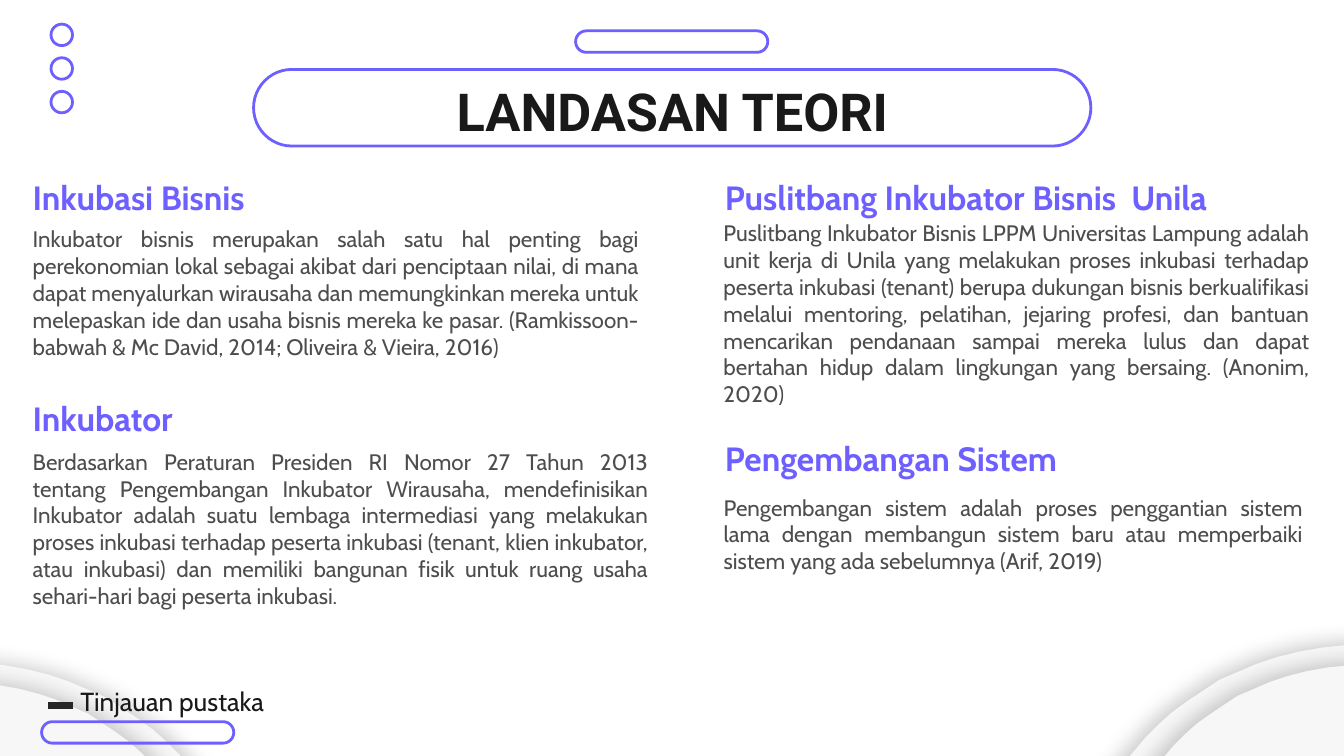
from dataclasses import dataclass
from typing import Any

import lxml.etree
import pptx
import pptx.dml.color
import pptx.enum.shapes
import pptx.enum.text
import pptx.oxml
import pptx.oxml.ns
import pptx.util

SHAPE = pptx.enum.shapes.MSO_SHAPE
ALIGN = pptx.enum.text.PP_ALIGN
ANCHOR = pptx.enum.text.MSO_ANCHOR
COLUMNS = 100
ROWS = 56.25
CELL = pptx.util.Inches(10) // COLUMNS


@dataclass(frozen=True)
class Theme:
    accent: str = "6E5FFF"
    ink: str = "191919"
    body: str = "4D4D4D"
    dash: str = "262626"
    hill: str = "F7F7F7"
    display_font: str = "Roboto"
    text_font: str = "Cabin"
    title_size: float = 28
    heading_size: float = 18
    label_size: float = 14
    body_size: float = 12
    outline: float = 1.5
    dash_width: float = 4


@dataclass(frozen=True)
class Frame:
    column: float
    row: float
    columns: float
    rows: float

    def lengths(self) -> tuple[int, ...]:
        return tuple(grid(n) for n in (self.column, self.row, self.columns, self.rows))


@dataclass(frozen=True)
class Style:
    size: float
    color: str
    font: str
    bold: bool = False
    align: Any = ALIGN.LEFT
    anchor: Any = ANCHOR.MIDDLE


@dataclass(frozen=True)
class Section:
    heading: str
    heading_frame: Frame
    body: str
    body_frame: Frame


@dataclass(frozen=True)
class Hill:
    column: float
    row: float
    direction: int
    shadow_angle: int


THEME = Theme()
TITLE = Style(THEME.title_size, THEME.ink, THEME.display_font, True, ALIGN.CENTER, ANCHOR.TOP)
HEADING = Style(THEME.heading_size, THEME.accent, THEME.text_font, True)
BODY = Style(THEME.body_size, THEME.body, THEME.text_font, align=ALIGN.JUSTIFY)
LABEL = Style(THEME.label_size, THEME.ink, THEME.text_font, anchor=ANCHOR.TOP)

LEFT, RIGHT, FIRST_ROW = 1.45, 52.85, 12.63
SECTIONS = (
    Section(
        "Inkubasi Bisnis", Frame(LEFT, FIRST_ROW, 28.7, 4),
        "Inkubator bisnis merupakan salah satu hal penting bagi perekonomian lokal sebagai "
        "akibat dari penciptaan nilai, di mana dapat menyalurkan wirausaha dan memungkinkan "
        "mereka untuk melepaskan ide dan usaha bisnis mereka ke pasar. (Ramkissoon-babwah & "
        "Mc David, 2014; Oliveira & Vieira, 2016)",
        Frame(LEFT, 15.03, 47.1, 13.5),
    ),
    Section(
        "Inkubator", Frame(LEFT, 29.1, 28.7, 4),
        "Berdasarkan Peraturan Presiden RI Nomor 27 Tahun 2013 tentang Pengembangan Inkubator "
        "Wirausaha, mendefinisikan Inkubator adalah suatu lembaga intermediasi yang melakukan "
        "proses inkubasi terhadap peserta inkubasi (tenant, klien inkubator, atau inkubasi) "
        "dan memiliki bangunan fisik untuk ruang usaha sehari-hari bagi peserta inkubasi.",
        Frame(LEFT, 32.57, 47.8, 13.5),
    ),
    Section(
        "Puslitbang Inkubator Bisnis  Unila", Frame(RIGHT + 0.1, FIRST_ROW, 39.2, 4),
        "Puslitbang Inkubator Bisnis LPPM Universitas Lampung adalah unit kerja di Unila yang "
        "melakukan proses inkubasi terhadap peserta inkubasi (tenant) berupa dukungan bisnis "
        "berkualifikasi melalui mentoring, pelatihan, jejaring profesi, dan bantuan mencarikan "
        "pendanaan sampai mereka lulus dan dapat bertahan hidup dalam lingkungan yang bersaing. "
        "(Anonim, 2020)",
        Frame(RIGHT, 16.55, 45.6, 13.5),
    ),
    Section(
        "Pengembangan Sistem", Frame(RIGHT + 0.1, 32.1, 39.2, 4),
        "Pengembangan sistem adalah proses penggantian sistem lama dengan membangun sistem baru "
        "atau memperbaiki sistem yang ada sebelumnya (Arif, 2019)",
        Frame(RIGHT, 35.83, 45.1, 7.8),
    ),
)

HILLS = (Hill(79.6, 48, 1, 212), Hill(19, 49.3, -1, 348))
HILL_OUTLINE = (
    (36.2, 17), (0, 15.8), (0.1, 15.5), (0.4, 14.8), (0.9, 13.6), (1.7, 12.2), (2.7, 10.5),
    (4.1, 8.7), (5.7, 6.8), (6.6, 5.9), (7.6, 5), (8.7, 4.2), (9.9, 3.4), (11.1, 2.6),
    (12.5, 2), (13.9, 1.4), (15.4, 0.9), (17, 0.5), (18.7, 0.2), (20.6, 0), (22.5, 0),
    (24.5, 0.1), (26.6, 0.4), (28.8, 0.9), (31.2, 1.5), (33.6, 2.3), (36.2, 3.3),
)
HILL_LAYERS = ((0, 0, 1), (2.7, 1.5, 0.88))


def grid(cells: float) -> int:
    return round(cells * CELL)


def rgb(color: str) -> pptx.dml.color.RGBColor:
    return pptx.dml.color.RGBColor.from_string(color)


def draw_outline(page: Any, kind: Any, frame: Frame) -> None:
    shape = page.shapes.add_shape(kind, *frame.lengths())
    shape.shadow.inherit = False
    shape.fill.background()
    shape.line.color.rgb = rgb(THEME.accent)
    shape.line.width = pptx.util.Pt(THEME.outline)
    if kind == SHAPE.ROUNDED_RECTANGLE:
        shape.adjustments[0] = 0.5


def draw_hill(page: Any, hill: Hill) -> None:
    for inset, drop, scale in HILL_LAYERS:
        points = [
            (grid(hill.column + hill.direction * (inset + across * scale)),
             grid(hill.row + drop + down * scale))
            for across, down in HILL_OUTLINE
        ]
        builder = page.shapes.build_freeform(*points[0])
        builder.add_line_segments(points[1:], close=True)
        shape = builder.convert_to_shape()
        shape.shadow.inherit = False
        shape.fill.solid()
        shape.fill.fore_color.rgb = rgb(THEME.hill)
        shape.line.fill.background()
        effects = shape._element.spPr.find(pptx.oxml.ns.qn("a:effectLst"))
        effects.append(pptx.oxml.parse_xml(
            f'<a:outerShdw {pptx.oxml.ns.nsdecls("a")} blurRad="142240" dist="48260" '
            f'dir="{hill.shadow_angle * 60000}" algn="ctr" rotWithShape="0">'
            '<a:srgbClr val="000000"><a:alpha val="20000"/></a:srgbClr></a:outerShdw>'
        ))


def write_text(box: Any, frame: Frame, text: str, style: Style, inset: float = 1) -> None:
    box.left, box.top, box.width, box.height = frame.lengths()
    content = box.text_frame
    content.word_wrap = True
    content.auto_size = pptx.enum.text.MSO_AUTO_SIZE.NONE
    content.vertical_anchor = style.anchor
    content.margin_left = content.margin_right = grid(1)
    content.margin_top = content.margin_bottom = grid(inset)
    content.text = text
    para = content.paragraphs[0]
    para.alignment = style.align
    para.font.size = pptx.util.Pt(style.size)
    para.font.name = style.font
    para.font.bold = style.bold
    para.font.color.rgb = rgb(style.color)


def add_text(page: Any, frame: Frame, text: str, style: Style, inset: float = 1) -> None:
    write_text(page.shapes.add_textbox(*frame.lengths()), frame, text, style, inset)


def draw_dash(page: Any, start: float, end: float, row: float) -> None:
    line = page.shapes.add_connector(
        pptx.enum.shapes.MSO_CONNECTOR.STRAIGHT, grid(start), grid(row), grid(end), grid(row))
    line.line.color.rgb = rgb(THEME.dash)
    line.line.width = pptx.util.Pt(THEME.dash_width)
    lxml.etree.SubElement(line._element.spPr, pptx.oxml.ns.qn("a:effectLst"))


def main() -> None:
    deck = pptx.Presentation()
    deck.slide_width, deck.slide_height = grid(COLUMNS), grid(ROWS)
    page = deck.slides.add_slide(deck.slide_layouts.get_by_name("Title Only"))
    for index in range(3):
        draw_outline(page, SHAPE.OVAL, Frame(3.8, 1.8 + 2.5 * index, 1.6, 1.6))
    for frame in (Frame(42.83, 2.3, 14.3, 1.6), Frame(18.87, 5.17, 62.3, 5.7)):
        draw_outline(page, SHAPE.ROUNDED_RECTANGLE, frame)
    for hill in HILLS:
        draw_hill(page, hill)
    write_text(page.shapes.title, Frame(7.87, 4.9, 84.3, 6.3), "LANDASAN TEORI", TITLE)
    for section in SECTIONS:
        add_text(page, section.heading_frame, section.heading, HEADING)
        add_text(page, section.body_frame, section.body, BODY)
    add_text(page, Frame(5, 50.5, 19.6, 3.4), "Tinjauan pustaka", LABEL, 0.5)
    draw_dash(page, 3.6, 5.4, 52.5)
    draw_outline(page, SHAPE.ROUNDED_RECTANGLE, Frame(3.1, 53.7, 14.3, 1.6))
    deck.save("out.pptx")


if __name__ == "__main__":
    main()
